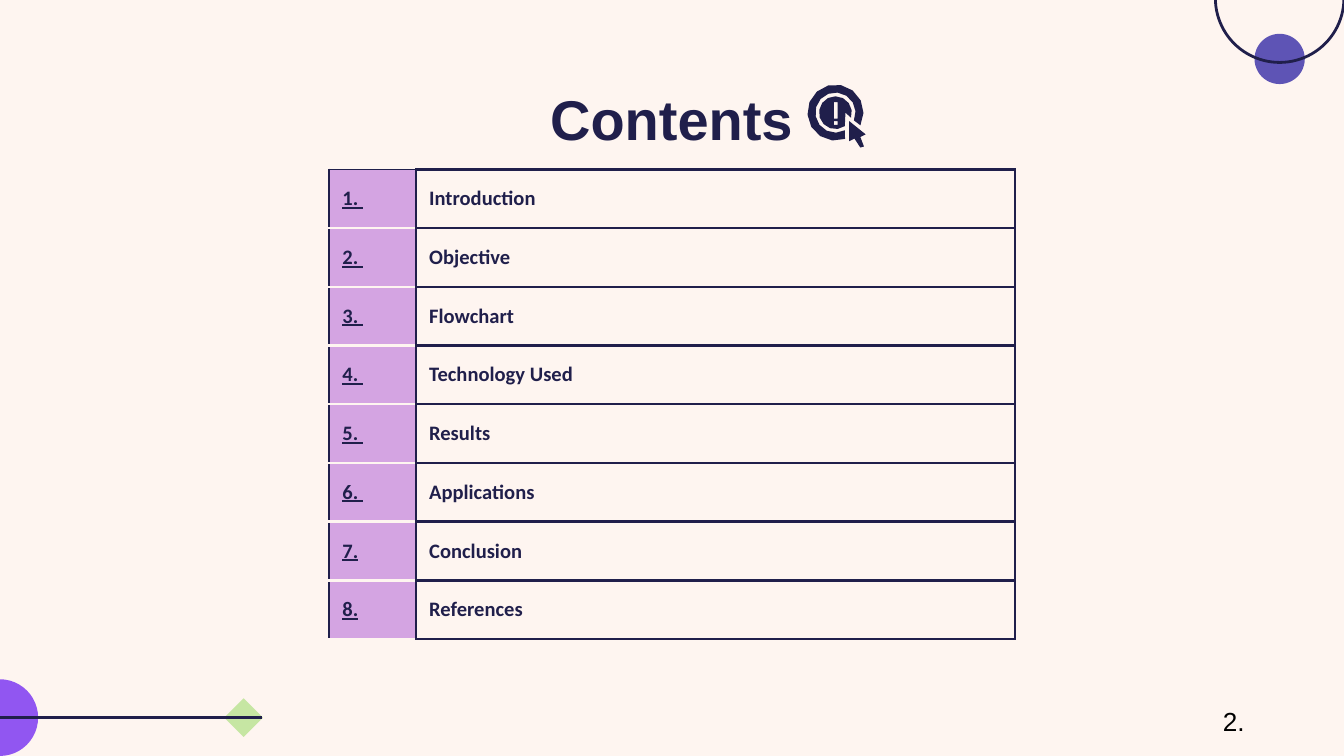
import math
from dataclasses import dataclass

import pptx
import pptx.dml.color
import pptx.enum.shapes
import pptx.enum.text
from lxml import etree
from pptx.oxml.ns import qn
import pptx.util

Cm = pptx.util.Cm
SHAPES = pptx.enum.shapes.MSO_SHAPE


@dataclass(frozen=True)
class Theme:
    paper: str = "FEF5F0"
    ink: str = "201F4B"
    lilac: str = "D4A4E2"
    violet: str = "9156F1"
    indigo: str = "5E54B5"
    green: str = "C6E6A3"
    black: str = "000000"
    heading_font: str = "Arial"
    table_font: str = "Calibri"
    title_size: int = 30
    table_size: int = 11
    number_size: int = 14
    line: float = 1.5
    thin_line: float = 1


theme = Theme()

# Content
TITLE = "Contents"
PAGE_NUMBER = "2."
ROWS = [("1. ", "Introduction"), ("2. ", "Objective"), ("3. ", "Flowchart"),
        ("4. ", "Technology Used"), ("5. ", "Results"), ("6. ", "Applications"),
        ("7.", "Conclusion"), ("8.", "References")]

# Layout in centimetres
TABLE_LEFT, TABLE_TOP = 6.22, 3.2
COLUMN_WIDTHS = (1.64, 11.32)
ROW_HEIGHT = 1.11

# Decorations: preset, left, top, size, fill, outline
DECORATIONS = [
    (SHAPES.OVAL, -0.73, 12.84, 1.45, theme.violet, None),
    (SHAPES.DIAMOND, 4.24, 13.2, 0.73, theme.green, None),
    (SHAPES.OVAL, 23.71, 0.64, 0.95, theme.indigo, None),
    (SHAPES.OVAL, 22.97, -1.25, 2.43, None, theme.ink),
]
RULE = (4.96, -0.73, 13.56)  # start x, end x, y

# Target icon
ICON_CENTRE = (15.79, 2.13)
POINTER = [(16.05, 2.29), (16.05, 2.67), (16.15, 2.62), (16.26, 2.79),
           (16.33, 2.77), (16.26, 2.59), (16.36, 2.54)]
EXCLAMATION = [(15.76, 1.93, 15.83, 2.24), (15.76, 2.29, 15.83, 2.36)]
NOTCH = (15.98, 2.13)


def rgb(value):
    return pptx.dml.color.RGBColor.from_string(value)


def add_run(paragraph, text, size, font, color, bold=False, underline=False):
    run = paragraph.add_run()
    run.text = text
    run.font.size = pptx.util.Pt(size)
    run.font.name = font
    run.font.color.rgb = rgb(color)
    run.font.bold = bold
    run.font.underline = underline


def paint(shape, fill, outline=None):
    shape.shadow.inherit = False
    if fill:
        shape.fill.solid()
        shape.fill.fore_color.rgb = rgb(fill)
    else:
        shape.fill.background()
    if outline:
        shape.line.color.rgb = rgb(outline)
        shape.line.width = pptx.util.Pt(theme.line)
    else:
        shape.line.fill.background()


def arc(radius, start, end, steps=12):
    """Points on a circle round the icon centre, angles in degrees."""
    angles = [math.radians(start + (end - start) * i / steps)
              for i in range(steps + 1)]
    return [(ICON_CENTRE[0] + radius * math.cos(angle),
             ICON_CENTRE[1] + radius * math.sin(angle)) for angle in angles]


def add_outline(slide, contours):
    contours = [[(Cm(x), Cm(y)) for x, y in contour] for contour in contours]
    builder = slide.shapes.build_freeform(*contours[0][0])
    for index, contour in enumerate(contours):
        if index:
            builder.move_to(*contour[0])
        builder.add_line_segments(contour[1:], close=True)
    paint(builder.convert_to_shape(), theme.ink)


def set_borders(cell, borders):
    """Borders as (colour, points) in the order left, right, top, bottom."""
    properties = cell._tc.get_or_add_tcPr()
    for side, (color, width) in zip("LRTB", borders):
        line = etree.SubElement(properties, qn(f"a:ln{side}"),
                                w=str(pptx.util.Pt(width)))
        fill = etree.SubElement(line, qn("a:solidFill"))
        etree.SubElement(fill, qn("a:srgbClr"), val=color)


def add_decorations(slide):
    for preset, left, top, size, fill, outline in DECORATIONS:
        shape = slide.shapes.add_shape(preset, Cm(left), Cm(top), Cm(size), Cm(size))
        paint(shape, fill, outline)
    start, end, y = RULE
    rule = slide.shapes.add_connector(pptx.enum.shapes.MSO_CONNECTOR.STRAIGHT,
                                      Cm(start), Cm(y), Cm(end), Cm(y))
    rule.line.color.rgb = rgb(theme.ink)
    rule.line.width = pptx.util.Pt(theme.line)
    etree.SubElement(rule._element.spPr, qn("a:effectLst"))


def add_title(slide):
    title = slide.shapes.title
    title.left, title.top, title.width, title.height = (
        Cm(6.43), Cm(1.35), Cm(12.52), Cm(1.6))
    frame = title.text_frame
    frame.auto_size = pptx.enum.text.MSO_AUTO_SIZE.NONE
    frame.vertical_anchor = pptx.enum.text.MSO_ANCHOR.TOP
    frame.margin_top = frame.margin_bottom = Cm(0.25)
    paragraph = frame.paragraphs[0]
    paragraph.alignment = pptx.enum.text.PP_ALIGN.CENTER
    add_run(paragraph, TITLE, theme.title_size, theme.heading_font, theme.ink, bold=True)


def add_contents_table(slide):
    table = slide.shapes.add_table(
        len(ROWS), len(COLUMN_WIDTHS), Cm(TABLE_LEFT), Cm(TABLE_TOP),
        Cm(sum(COLUMN_WIDTHS)), Cm(ROW_HEIGHT * len(ROWS))).table
    table.first_row = table.horz_banding = False
    for column, width in zip(table.columns, COLUMN_WIDTHS):
        column.width = Cm(width)

    thin, thick = (theme.ink, theme.thin_line), (theme.ink, theme.line)
    gap = (theme.paper, theme.line)
    for index, texts in enumerate(ROWS):
        table.rows[index].height = Cm(ROW_HEIGHT)
        number_cell, topic_cell = table.cell(index, 0), table.cell(index, 1)
        set_borders(number_cell, (thin, thin, gap if index else thin, gap))
        set_borders(topic_cell, (thin, thick, thick, thick))
        number_cell.fill.solid()
        number_cell.fill.fore_color.rgb = rgb(theme.lilac)
        topic_cell.fill.background()
        for cell, text in zip((number_cell, topic_cell), texts):
            cell.vertical_anchor = pptx.enum.text.MSO_ANCHOR.MIDDLE
            cell.margin_left = cell.margin_right = Cm(0.25)
            cell.margin_top = cell.margin_bottom = 0
            add_run(cell.text_frame.paragraphs[0], text, theme.table_size,
                    theme.table_font, theme.ink, bold=True,
                    underline=cell is number_cell)


def add_target_icon(slide):
    add_outline(slide, [POINTER])
    marks = [[(left, top), (left, bottom), (right, bottom), (right, top)]
             for left, top, right, bottom in EXCLAMATION]
    add_outline(slide, [arc(0.31, 55, 378) + [NOTCH], *marks])
    add_outline(slide, [arc(0.53, 70, 387) + arc(0.38, 383, 62)])


def add_page_number(slide):
    box = slide.shapes.add_textbox(Cm(22.86), Cm(13.21), Cm(2.54), Cm(0.86))
    box.text_frame.word_wrap = True
    add_run(box.text_frame.paragraphs[0], PAGE_NUMBER, theme.number_size,
            theme.heading_font, theme.black)


def main():
    presentation = pptx.Presentation()
    presentation.slide_width, presentation.slide_height = Cm(25.4), Cm(14.29)
    slide = presentation.slides.add_slide(presentation.slide_layouts[5])
    slide.background.fill.solid()
    slide.background.fill.fore_color.rgb = rgb(theme.paper)
    add_decorations(slide)
    add_title(slide)
    add_contents_table(slide)
    add_target_icon(slide)
    add_page_number(slide)
    presentation.save("out.pptx")


if __name__ == "__main__":
    main()
